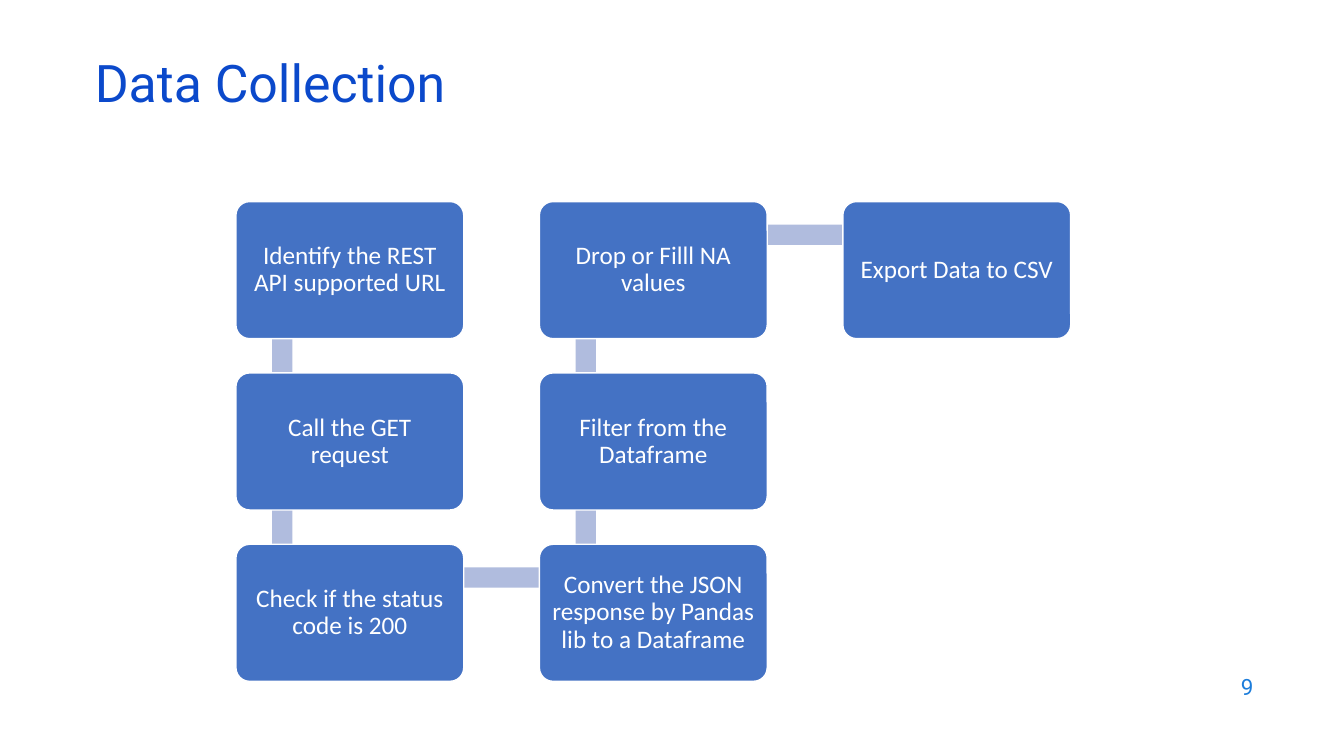
from dataclasses import dataclass
from itertools import pairwise

from pptx import Presentation
from pptx.dml.color import RGBColor
from pptx.enum.shapes import MSO_SHAPE as Shape
from pptx.enum.text import MSO_ANCHOR as Anchor, MSO_AUTO_SIZE as AutoSize, PP_ALIGN as Align
from pptx.util import Inches, Pt


@dataclass(frozen=True)
class Theme:
    title_font: str = "Roboto"
    body_font: str = "Calibri"
    title_size: float = 37
    step_size: float = 18
    number_size: float = 16
    title_color: str = "0B49CB"
    number_color: str = "1C7DDB"
    step_fill: str = "4472C4"
    link_fill: str = "B0BCDE"
    white: str = "FFFFFF"


# Flow grid: columns run down, then up, then down again
LEFT, TOP = 2.34, 2.0
COLUMN_STEP, ROW_STEP = 3.01, 1.7
STEP_WIDTH, STEP_HEIGHT = 2.26, 1.36
LINK_THICKNESS = 0.2
ROWS = 3
STEPS = [
    "Identify the REST API supported URL",
    "Call the GET request",
    "Check if the status code is 200",
    "Convert the JSON response by Pandas lib to a Dataframe",
    "Filter from the Dataframe",
    "Drop or Filll NA values",
    "Export Data to CSV",
]


def step_position(index):
    column, row = divmod(index, ROWS)
    if column % 2:
        row = ROWS - 1 - row
    return LEFT + column * COLUMN_STEP, TOP + row * ROW_STEP


class SlideBuilder:
    def __init__(self, slide, theme):
        self.slide = slide
        self.theme = theme

    def set_text(self, shape, text, font, size, color, align, spacing=1.0):
        frame = shape.text_frame
        frame.text = text
        frame.word_wrap = True
        frame.auto_size = AutoSize.NONE
        frame.vertical_anchor = Anchor.MIDDLE
        paragraph = frame.paragraphs[0]
        paragraph.alignment = align
        paragraph.line_spacing = spacing
        paragraph.font.name = font
        paragraph.font.size = Pt(size)
        paragraph.font.color.rgb = RGBColor.from_string(color)

    def title(self, text, left, top, width, height):
        title = self.slide.shapes.title
        title.left, title.top = Inches(left), Inches(top)
        title.width, title.height = Inches(width), Inches(height)
        theme = self.theme
        self.set_text(title, text, theme.title_font, theme.title_size,
                      theme.title_color, Align.LEFT, 0.7)

    def slide_number(self, text, left, top, width, height):
        box = self.slide.shapes.add_textbox(
            Inches(left), Inches(top), Inches(width), Inches(height))
        theme = self.theme
        self.set_text(box, text, theme.title_font, theme.number_size,
                      theme.number_color, Align.RIGHT)

    def block(self, kind, left, top, width, height, fill):
        shape = self.slide.shapes.add_shape(
            kind, Inches(left), Inches(top), Inches(width), Inches(height))
        shape.shadow.inherit = False
        shape.fill.solid()
        shape.fill.fore_color.rgb = RGBColor.from_string(fill)
        shape.line.fill.background()
        return shape

    def link(self, start, end):
        left, top = min(start, end)
        if start[0] == end[0]:
            bar = (left + 0.36, top + 0.34, LINK_THICKNESS, ROW_STEP)
        else:
            bar = (left + 0.46, top + 0.23, COLUMN_STEP, LINK_THICKNESS)
        self.block(Shape.RECTANGLE, *bar, self.theme.link_fill)

    def step(self, text, left, top):
        theme = self.theme
        box = self.block(Shape.ROUNDED_RECTANGLE, left, top,
                         STEP_WIDTH, STEP_HEIGHT, theme.step_fill)
        box.adjustments[0] = 0.1
        box.line.color.rgb = RGBColor.from_string(theme.white)
        box.line.width = Pt(1)
        frame = box.text_frame
        frame.margin_left = frame.margin_right = Inches(0.07)
        frame.margin_top = frame.margin_bottom = Inches(0.07)
        self.set_text(box, text, theme.body_font, theme.step_size,
                      theme.white, Align.CENTER, 0.9)


def main():
    presentation = Presentation()
    presentation.slide_width, presentation.slide_height = Inches(13.33), Inches(7.5)
    slide = presentation.slides.add_slide(presentation.slide_layouts[5])
    builder = SlideBuilder(slide, Theme())

    # Title and slide number
    builder.title("Data Collection", 0.84, 0.59, 11.5, 0.6)
    builder.slide_number("9", 9.53, 6.59, 3, 0.44)

    # Links lie behind the steps
    positions = [step_position(index) for index in range(len(STEPS))]
    for start, end in pairwise(positions):
        builder.link(start, end)

    # Steps
    for text, position in zip(STEPS, positions):
        builder.step(text, *position)

    presentation.save("out.pptx")


if __name__ == "__main__":
    main()
